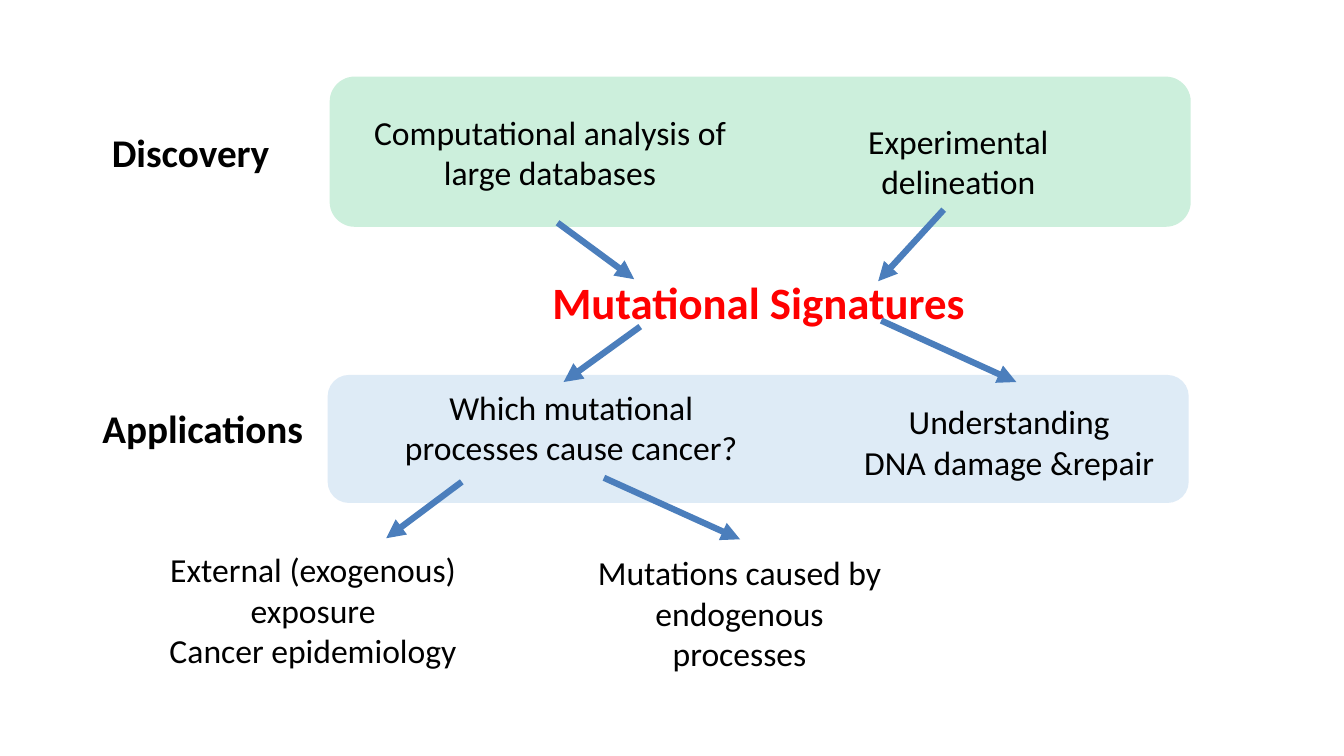
from lxml.etree import SubElement
from pptx import Presentation
from pptx.dml.color import RGBColor
from pptx.enum.shapes import MSO_CONNECTOR, MSO_SHAPE
from pptx.enum.text import MSO_ANCHOR, MSO_AUTO_SIZE, PP_ALIGN
from pptx.oxml.ns import qn
from pptx.util import Pt

PX = 9144  # EMU per px, 100 px to the inch
GREEN = RGBColor(0x00, 0xB0, 0x50)
BLUE = RGBColor(0x5B, 0x9B, 0xD5)
ARROW_BLUE = RGBColor(0x4B, 0x7E, 0xBC)
RED = RGBColor(0xFF, 0x00, 0x00)
BLACK = RGBColor(0x00, 0x00, 0x00)


def within(box, left, top, width, height):
    """Turn a place relative to box into a box on the slide."""
    return box[0] + left, box[1] + top, width, height


def write(frame, lines, size, color=BLACK, bold=False, wrap=True):
    frame.word_wrap = wrap
    frame.auto_size = MSO_AUTO_SIZE.NONE
    frame.vertical_anchor = MSO_ANCHOR.TOP
    frame.text = "\n".join(lines)
    for paragraph in frame.paragraphs:
        paragraph.alignment = PP_ALIGN.CENTER
        font = paragraph.font
        font.name, font.size, font.bold = "Calibri", Pt(size), bold
        font.color.rgb = color


def add_text(slide, box, *lines, size=24, **style):
    textbox = slide.shapes.add_textbox(*(value * PX for value in box))
    write(textbox.text_frame, lines, size, **style)


def add_label(slide, box, text):
    add_text(slide, box, text, size=28, bold=True, wrap=False)


def add_panel(slide, box, color):
    """Add a rounded panel filled with color at 20% opacity."""
    panel = slide.shapes.add_shape(
        MSO_SHAPE.ROUNDED_RECTANGLE, *(value * PX for value in box))
    panel.shadow.inherit = False
    panel.fill.solid()
    panel.fill.fore_color.rgb = color
    panel.line.fill.background()
    color_element = panel._element.spPr.find(qn("a:solidFill"))[0]
    SubElement(color_element, qn("a:alpha"), val="20000")


def add_arrow(slide, box, start, end):
    """Add an arrow whose ends are given relative to box."""
    left, top = box[:2]
    arrow = slide.shapes.add_connector(
        MSO_CONNECTOR.STRAIGHT,
        (left + start[0]) * PX, (top + start[1]) * PX,
        (left + end[0]) * PX, (top + end[1]) * PX)
    arrow.line.color.rgb = ARROW_BLUE
    arrow.line.width = Pt(4.5)
    SubElement(arrow.line._get_or_add_ln(), qn("a:tailEnd"), type="triangle")
    SubElement(arrow._element.spPr, qn("a:effectLst"))


def add_discovery(slide, box):
    add_panel(slide, box, GREEN)
    add_label(slide, within(box, -227, 46, 178, 57), "Discovery")
    add_text(slide, within(box, 33, 30, 371, 91),
             "Computational analysis of large databases")
    add_text(slide, within(box, 407, 39, 433, 91),
             "Experimental", "delineation")
    add_arrow(slide, box, (226, 145), (302, 201))
    add_arrow(slide, box, (609, 132), (544, 203))


def add_signatures(slide, box):
    title = slide.shapes.title
    title.left, title.top, title.width, title.height = (
        value * PX for value in box)
    write(title.text_frame, ["Mutational Signatures"], 32,
          color=RED, bold=True, wrap=False)
    add_arrow(slide, box, (99, 56), (23, 111))
    add_arrow(slide, box, (338, 50), (472, 111))


def add_applications(slide, box):
    add_panel(slide, box, BLUE)
    add_label(slide, within(box, -235, 24, 222, 57), "Applications")
    add_text(slide, within(box, 58, 7, 367, 91),
             "Which mutational processes cause cancer?")
    add_text(slide, within(box, 498, 21, 356, 91),
             "Understanding", "DNA damage &repair")


def add_causes(slide, box):
    add_arrow(slide, box, (300, 4), (225, 60))
    add_arrow(slide, box, (441, 0), (576, 61))
    add_text(slide, within(box, 0, 66, 305, 131),
             "External (exogenous) exposure", "Cancer epidemiology")
    add_text(slide, within(box, 423, 69, 305, 131),
             "Mutations caused by endogenous processes")


def main():
    presentation = Presentation()
    presentation.slide_width = 1333 * PX
    presentation.slide_height = 750 * PX
    title_only = presentation.slide_layouts.get_by_name("Title Only")
    slide = presentation.slides.add_slide(title_only)
    add_discovery(slide, (327, 76, 854, 149))
    add_applications(slide, (325, 372, 854, 127))
    add_signatures(slide, (536, 268, 433, 64))
    add_causes(slide, (158, 474, 728, 200))
    presentation.save("out.pptx")


if __name__ == "__main__":
    main()
